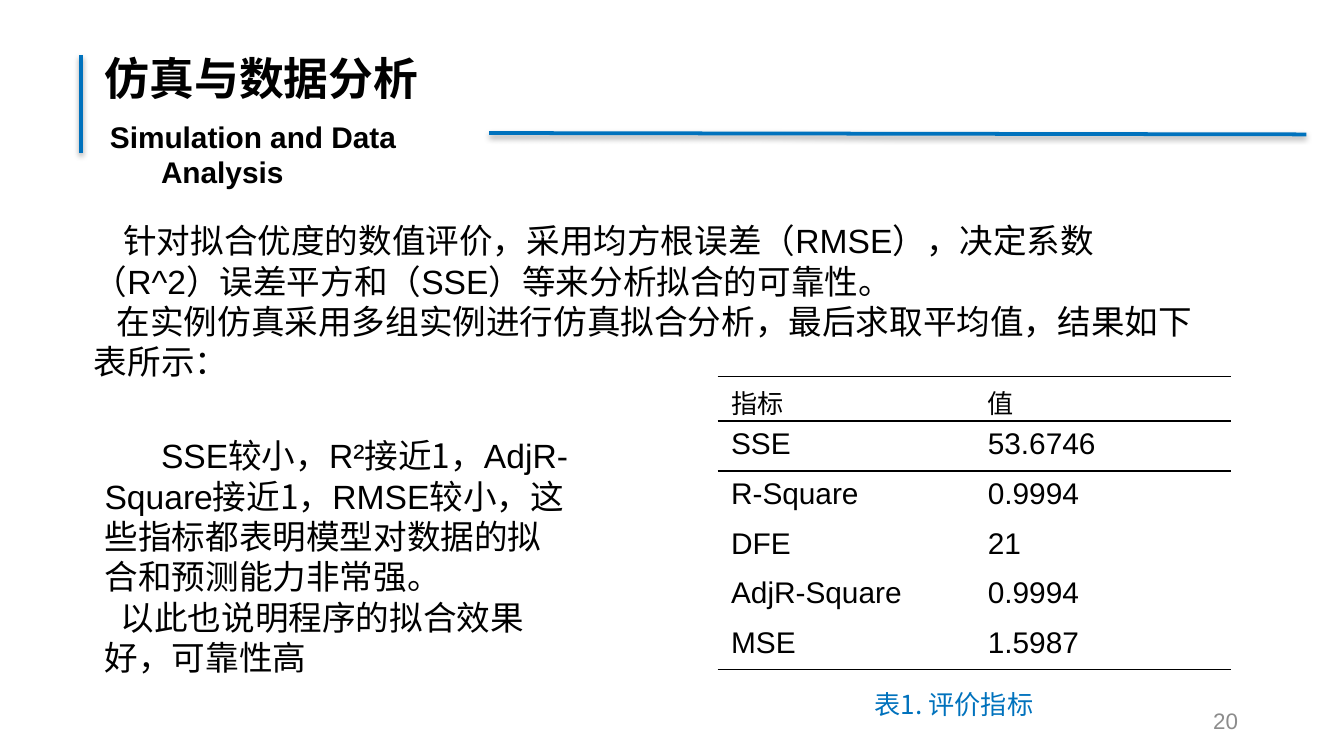
from dataclasses import dataclass

from lxml import etree
from pptx import Presentation
from pptx.dml.color import RGBColor
from pptx.enum.shapes import MSO_CONNECTOR
from pptx.enum.text import MSO_ANCHOR, MSO_AUTO_SIZE, PP_ALIGN
from pptx.oxml import parse_xml
from pptx.oxml.ns import qn
from pptx.util import Inches, Pt

STRAIGHT = MSO_CONNECTOR.STRAIGHT
TOP, MIDDLE = MSO_ANCHOR.TOP, MSO_ANCHOR.MIDDLE
LEFT, RIGHT = PP_ALIGN.LEFT, PP_ALIGN.RIGHT
FIXED_SIZE, GROW = MSO_AUTO_SIZE.NONE, MSO_AUTO_SIZE.SHAPE_TO_FIT_TEXT
TITLE_ONLY = 5
HEADING_MARGIN = Inches(0.1)
PLAIN_TABLE_STYLE = "{2D5ABB26-0587-4C30-8999-92F81FD0307C}"
DRAWING_NS = "http://schemas.openxmlformats.org/drawingml/2006/main"


@dataclass(frozen=True)
class Theme:
    latin: str = "Arial"
    chinese: str = "Noto Sans CJK SC"
    ink: str = "000000"
    accent: str = "0072BD"
    muted: str = "8C8C8C"
    title: int = 24
    body: int = 18
    value: int = 16
    label: int = 14
    number: int = 12
    leading: float = 1.2


THEME = Theme()

# First-line indent in inches, then the spans of the paragraph.
INTRODUCTION = [
    (0.22, ["针对拟合优度的数值评价，采用均方根误差（", "RMSE", "），决定系数（", "R^2",
            "）误差平方和（", "SSE", "）等来分析拟合的可靠性。"]),
    (0.17, ["在实例仿真采用多组实例进行仿真拟合分析，最后求取平均值，结果如下表所示："]),
]
CONCLUSION = [
    (0.42, ["SSE", "较小，", "R²", "接近1，", "AdjR-Square", "接近1，", "RMSE",
            "较小，这些指标都表明模型对数据的拟合和预测能力非常强。"]),
    (0.12, ["以此也说明程序的拟合效果好，可靠性高"]),
]
METRICS = [
    ("指标", "值"),
    ("SSE", "53.6746"),
    ("R-Square", "0.9994"),
    ("DFE", "21"),
    ("AdjR-Square", "0.9994"),
    ("MSE", "1.5987"),
]


def set_typeface(font, text):
    """Choose the Latin or Chinese face by the first character of the text."""
    font.name = THEME.latin if text[0].isascii() else THEME.chinese
    east_asian = etree.SubElement(font._element, qn("a:ea"))
    east_asian.set("typeface", THEME.chinese)


def write_paragraph(para, spans, size, color=THEME.ink, bold=False):
    para.font.size = Pt(size)
    para.font.bold = bold
    para.font.color.rgb = RGBColor.from_string(color)
    for text in spans:
        span = para.add_run()
        span.text = text
        if len(spans) > 1:
            set_typeface(span.font, text)
    if len(spans) == 1:
        set_typeface(para.font, spans[0])
    if not "".join(spans).isascii():
        para.line_spacing = Pt(size * THEME.leading)


def set_indent(para, first_line, left=0):
    """Set the indents and keep punctuation inside the right margin."""
    properties = para._p.get_or_add_pPr()
    properties.set("marL", str(Inches(left)))
    properties.set("indent", str(Inches(first_line)))
    properties.set("hangingPunct", "0")


def add_text_box(page, left, top, width, height, wrap=True, auto_size=GROW):
    box = page.shapes.add_textbox(Inches(left), Inches(top), Inches(width), Inches(height))
    box.text_frame.word_wrap = wrap
    box.text_frame.auto_size = auto_size
    return box.text_frame


def add_body(page, left, top, width, height, paragraphs):
    frame = add_text_box(page, left, top, width, height)
    for index, (indent, spans) in enumerate(paragraphs):
        para = frame.add_paragraph() if index else frame.paragraphs[0]
        write_paragraph(para, spans, THEME.body)
        set_indent(para, indent)


def add_heading(page):
    title = page.shapes.title
    title.left, title.top = Inches(0.68), Inches(0.28)
    title.width, title.height = Inches(9.32), Inches(0.63)
    frame = title.text_frame
    frame.auto_size = FIXED_SIZE
    frame.vertical_anchor = TOP
    frame.margin_top = frame.margin_bottom = HEADING_MARGIN
    para = frame.paragraphs[0]
    para.alignment = LEFT
    write_paragraph(para, ["仿真与数据分析"], THEME.title, bold=True)

    frame = add_text_box(page, 0.6, 0.78, 3.16, 0.53, auto_size=FIXED_SIZE)
    frame.margin_top = frame.margin_bottom = HEADING_MARGIN
    para = frame.paragraphs[0]
    write_paragraph(para, ["Simulation and Data Analysis"], THEME.value, bold=True)
    set_indent(para, -0.38, left=0.5)


def add_shadowed_line(page, start, end):
    line = page.shapes.add_connector(STRAIGHT, *map(Inches, start + end))
    line.line.color.rgb = RGBColor.from_string(THEME.accent)
    line.line.width = Pt(2)
    line._element.spPr.append(parse_xml(
        f'<a:effectLst xmlns:a="{DRAWING_NS}">'
        f'<a:outerShdw blurRad="{Pt(3.1)}" dist="{Pt(1.6)}" dir="5400000" rotWithShape="0">'
        f'<a:srgbClr val="{THEME.ink}"><a:alpha val="38000"/></a:srgbClr>'
        '</a:outerShdw></a:effectLst>'))


def set_borders(cell, sides):
    properties = cell._tc.get_or_add_tcPr()
    for index, side in enumerate(sides):
        properties.insert(index, parse_xml(
            f'<a:ln{side} xmlns:a="{DRAWING_NS}" w="{Pt(1)}"><a:solidFill>'
            f'<a:srgbClr val="{THEME.ink}"/></a:solidFill></a:ln{side}>'))


def add_metrics_table(page):
    """Three-rule table: lines above and below the header and at the foot."""
    last = len(METRICS) - 1
    borders = {0: "TB", 1: "T", last: "B"}
    frame = page.shapes.add_table(len(METRICS), 2, Inches(5.34), Inches(2.8),
                                  Inches(3.82), Inches(2.17))
    table = frame.table
    table.first_row = table.horz_banding = False
    table._tbl.tblPr.find(qn("a:tableStyleId")).text = PLAIN_TABLE_STYLE
    for row_index, values in enumerate(METRICS):
        is_header = row_index == 0
        table.rows[row_index].height = Inches(0.33 if is_header else 0.37)
        for cell, value in zip(table.rows[row_index].cells, values):
            write_paragraph(cell.text_frame.paragraphs[0], [value],
                            THEME.label if is_header else THEME.value)
            if is_header:
                cell.margin_top, cell.margin_bottom = Inches(0.1), 0
            cell.fill.background()
            set_borders(cell, borders.get(row_index, ""))


def add_caption(page):
    frame = add_text_box(page, 6.41, 5.07, 1.48, 0.34, wrap=False)
    write_paragraph(frame.paragraphs[0], ["表1. 评价指标"], THEME.label, THEME.accent)


def add_page_number(page):
    frame = add_text_box(page, 7.06, 5.21, 2.25, 0.3, auto_size=FIXED_SIZE)
    frame.vertical_anchor = MIDDLE
    para = frame.paragraphs[0]
    para.alignment = RIGHT
    write_paragraph(para, ["20"], THEME.number, THEME.muted)


def main():
    deck = Presentation()
    deck.slide_width, deck.slide_height = Inches(10), Inches(10 * 9 / 16)
    page = deck.slides.add_slide(deck.slide_layouts[TITLE_ONLY])
    add_heading(page)
    add_shadowed_line(page, (0.6, 0.41), (0.6, 1.14))
    add_shadowed_line(page, (3.64, 0.99), (9.72, 1))
    add_body(page, 0.6, 1.59, 8.56, 1.31, INTRODUCTION)
    add_metrics_table(page)
    add_body(page, 0.68, 3.19, 3.65, 1.92, CONCLUSION)
    add_caption(page)
    add_page_number(page)
    deck.save("out.pptx")


if __name__ == "__main__":
    main()
